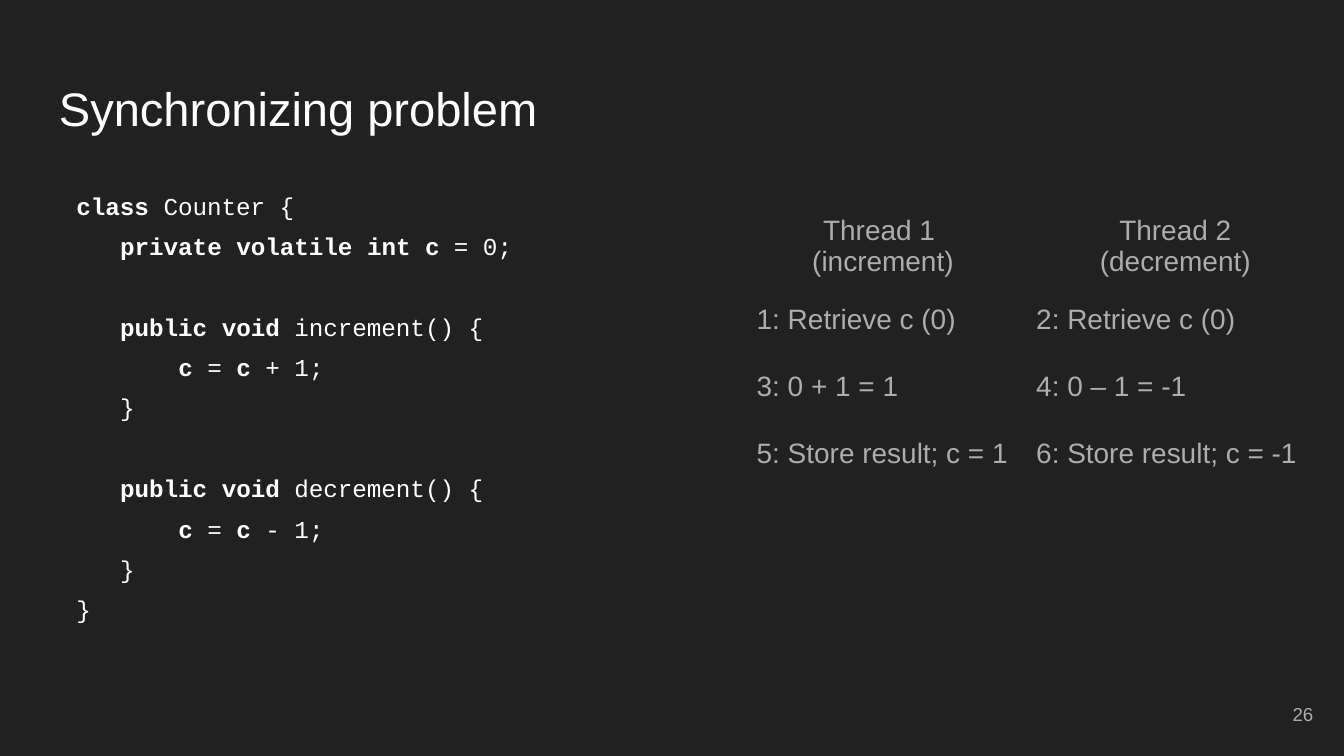
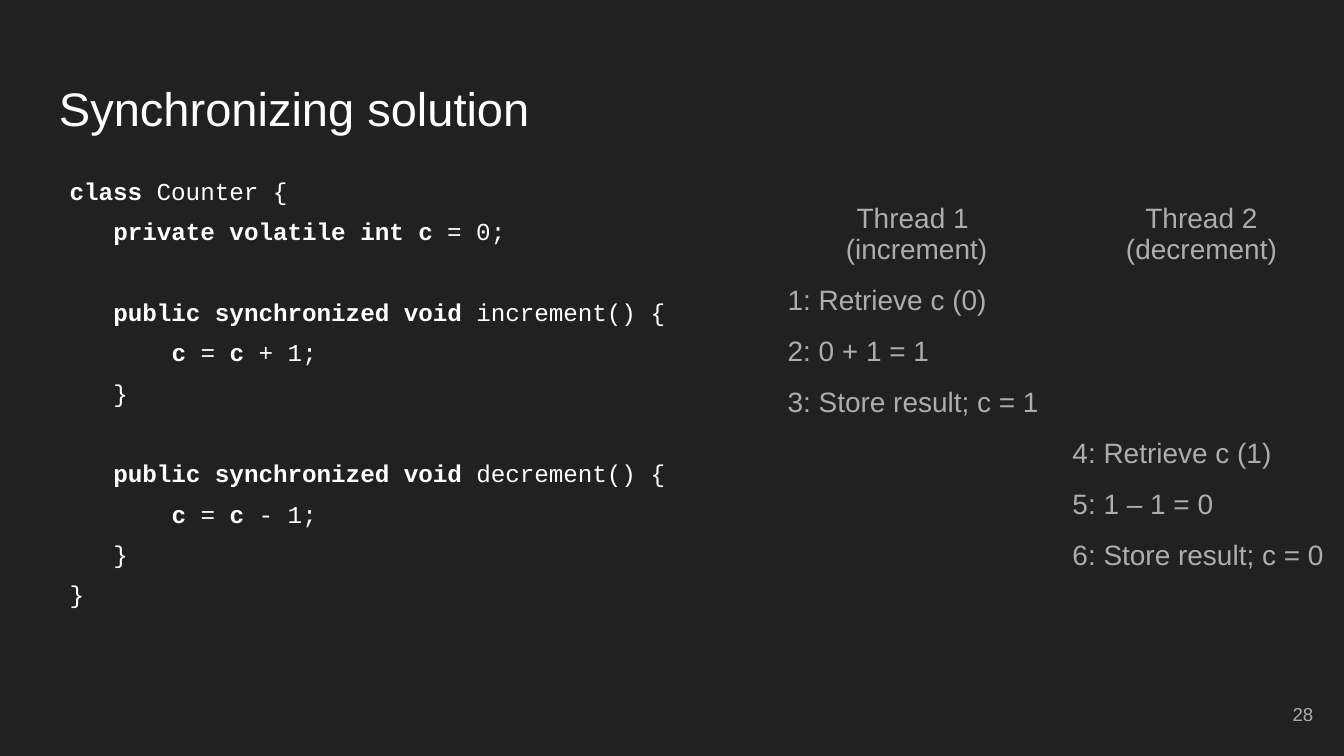
"""Builds two dark slides on synchronizing threads, with code and a table of steps."""
from pptx import Presentation
from pptx.dml.color import RGBColor
from pptx.enum.text import MSO_ANCHOR, PP_ALIGN
from pptx.util import Inches, Pt

LEFT, CENTER, RIGHT = PP_ALIGN.LEFT, PP_ALIGN.CENTER, PP_ALIGN.RIGHT
TOP, MIDDLE = MSO_ANCHOR.TOP, MSO_ANCHOR.MIDDLE
BACKGROUND, WHITE, GRAY = "212121", "FFFFFF", "ADADAD"
NO_GRID_STYLE = "{2D5ABB26-0587-4C30-8999-92F81FD0307C}"
CODE_MARGIN, CHARACTER_WIDTH = 0.08, 7.8 / 72
CODE_GAP, BLANK_LINE = 6, 21.6

HEADER = ("Thread 1 \n(increment)", "Thread 2\n(decrement)")
SLIDES = [
    {
        "title": "Synchronizing problem", "number": "26", "modifier": "public void",
        "code_box": (0.39, 1.32, 3.98, 3.41), "table_at": (5.53, 1.55),
        "columns": (2.08, 2.27), "heights": (0.66, 0.5, 0.5, 0.87),
        "steps": [
            ("1: Retrieve c (0)", "2: Retrieve c (0)"),
            ("3: 0 + 1 = 1", "4: 0 – 1 = -1"),
            ("5: Store result; c = 1", "6: Store result; c = -1"),
        ],
    },
    {
        "title": "Synchronizing solution", "number": "28",
        "modifier": "public synchronized void",
        "code_box": (0.34, 1.21, 4.73, 3.88), "table_at": (5.76, 1.46),
        "columns": (2.12, 2.12), "heights": (0.61,) + (0.38,) * 6,
        "steps": [
            ("1: Retrieve c (0)", ""),
            ("2: 0 + 1 = 1", ""),
            ("3: Store result; c = 1", ""),
            ("", "4: Retrieve c (1)"),
            ("", "5: 1 – 1 = 0"),
            ("", "6: Store result; c = 0"),
        ],
    },
]


def style(paragraph, size, color, name="Arial", alignment=LEFT):
    paragraph.alignment = alignment
    paragraph.font.size = Pt(size)
    paragraph.font.name = name
    paragraph.font.color.rgb = RGBColor.from_string(color)


def add_text_frame(slide, box, anchor=TOP):
    frame = slide.shapes.add_textbox(*map(Inches, box)).text_frame
    frame.word_wrap = True
    frame.vertical_anchor = anchor
    frame.margin_left = frame.margin_right = Inches(0.1)
    frame.margin_top = frame.margin_bottom = Inches(0.1)
    return frame


presentation = Presentation()
presentation.slide_width = Inches(10)
presentation.slide_height = Inches(10) * 9 // 16

for content in SLIDES:
    slide = presentation.slides.add_slide(presentation.slide_layouts[6])
    slide.background.fill.solid()
    slide.background.fill.fore_color.rgb = RGBColor.from_string(BACKGROUND)

    title = add_text_frame(slide, (0.34, 0.49, 9.32, 0.63))
    title.text = content["title"]
    style(title.paragraphs[0], 25.2, WHITE)

    number = add_text_frame(slide, (9.27, 5.1, 0.6, 0.43), MIDDLE)
    number.text = content["number"]
    style(number.paragraphs[0], 10, GRAY, alignment=RIGHT)

    code_lines = [(0, "**class **Counter {"), (3, "**private volatile int c **= 0;")]
    for method, operator in (("increment", "+"), ("decrement", "-")):
        code_lines += [
            (3, f"**{content['modifier']} **{method}() {{"),
            (7, f"**c **= **c **{operator} 1;"),
            (3, "}"),
        ]
    code_lines.append((0, "}"))

    code = add_text_frame(slide, content["code_box"])
    for index, (indent, line) in enumerate(code_lines):
        paragraph = code.add_paragraph() if index else code.paragraphs[0]
        style(paragraph, 13, WHITE, "Courier New")
        starts_method = line.endswith("() {")
        paragraph.space_before = Pt(CODE_GAP + (BLANK_LINE if starts_method else 0))
        margin = CODE_MARGIN + indent * CHARACTER_WIDTH
        paragraph._p.get_or_add_pPr().set("marL", str(Inches(margin)))
        for part, text in enumerate(line.split("**")):
            if text:
                run = paragraph.add_run()
                run.text = text
                run.font.bold = part % 2 == 1

    rows = [HEADER] + content["steps"]
    left, top = content["table_at"]
    table = slide.shapes.add_table(
        len(rows), 2, Inches(left), Inches(top),
        Inches(sum(content["columns"])), Inches(sum(content["heights"])),
    ).table
    table.first_row = table.horz_banding = False
    table._tbl.tblPr[0].text = NO_GRID_STYLE
    for column, width in zip(table.columns, content["columns"]):
        column.width = Inches(width)
    for row, height, texts in zip(table.rows, content["heights"], rows):
        row.height = Inches(height)
        for cell, text in zip(row.cells, texts):
            cell.fill.background()
            cell.text = text
            for paragraph in cell.text_frame.paragraphs:
                alignment = CENTER if texts is HEADER else LEFT
                style(paragraph, 15, GRAY, alignment=alignment)
                if not text:
                    paragraph._p.get_or_add_endParaRPr().set("sz", "1500")

presentation.save("out.pptx")
